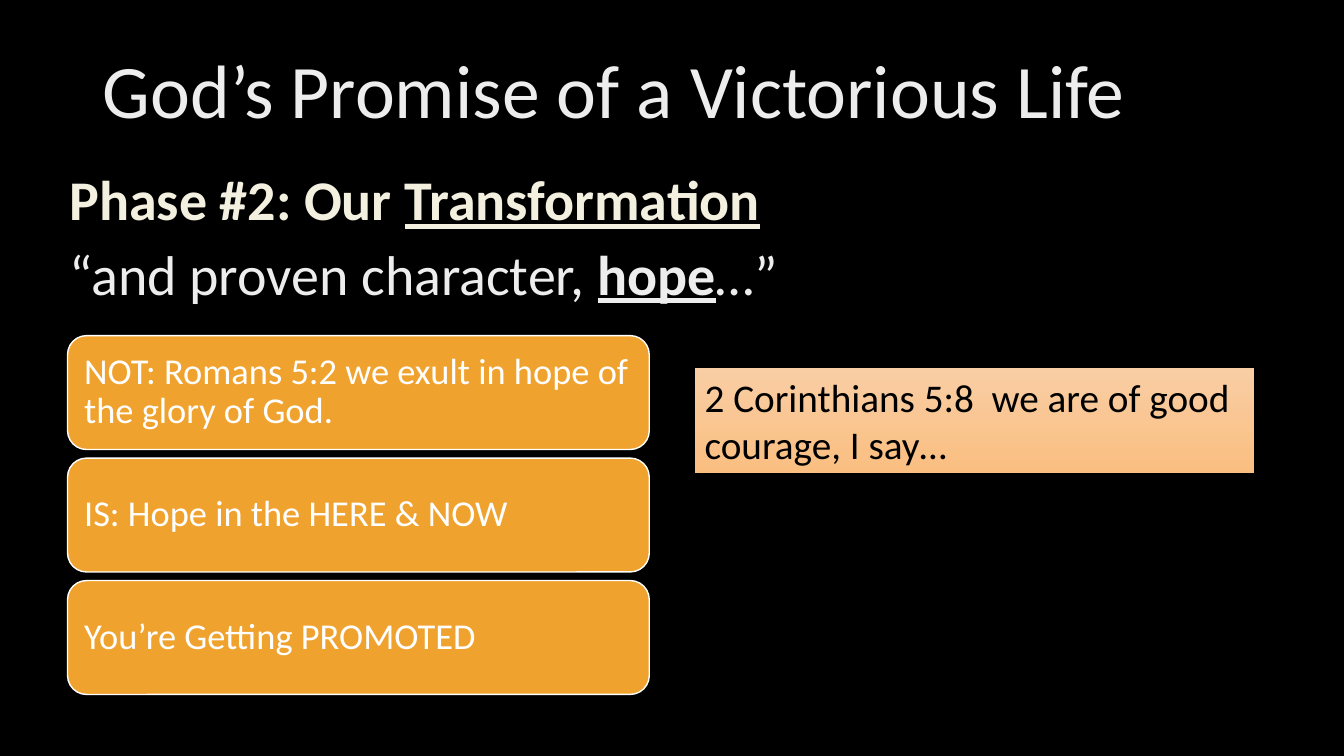
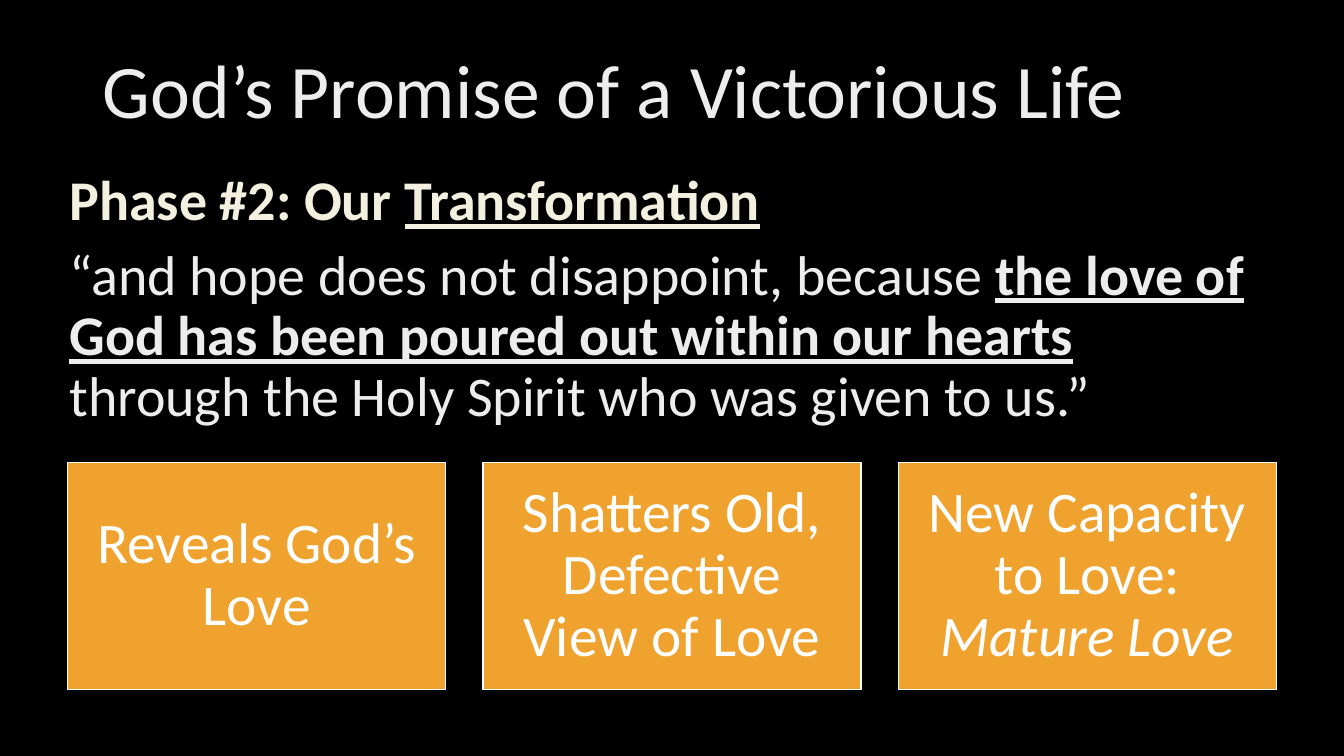
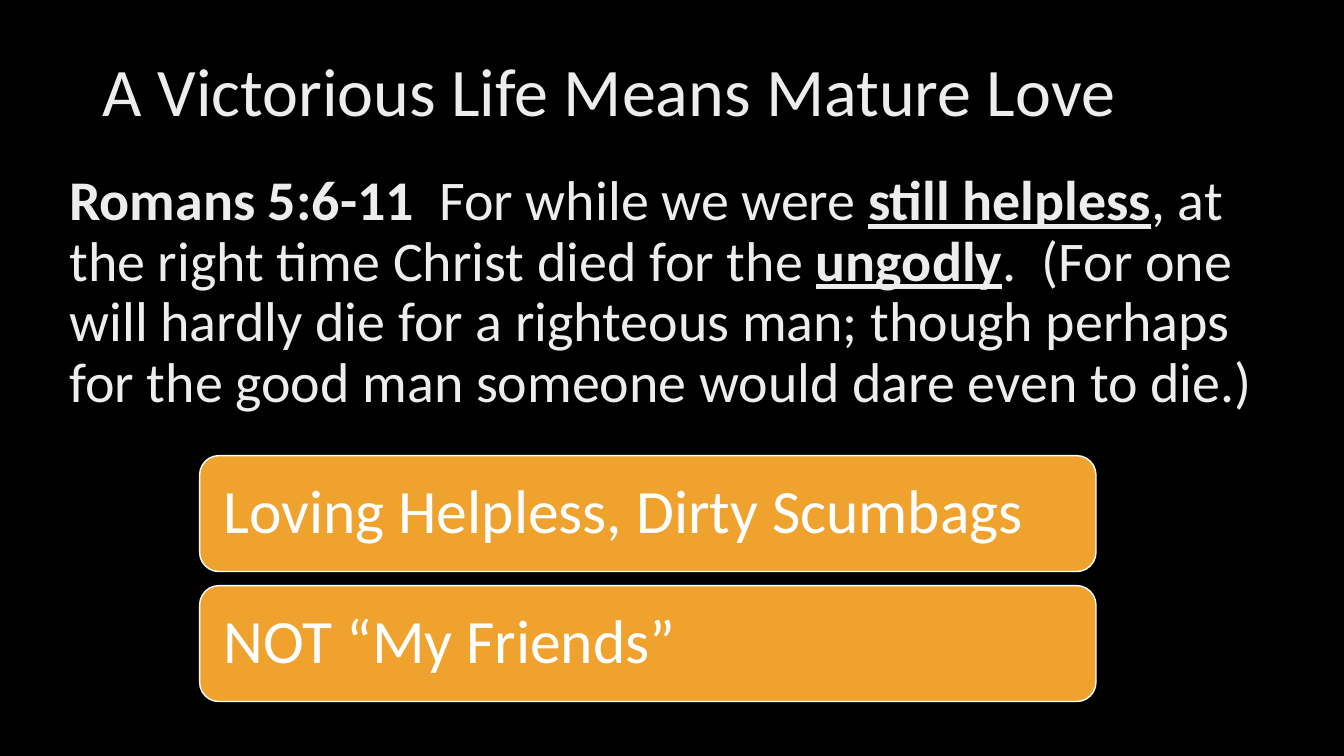
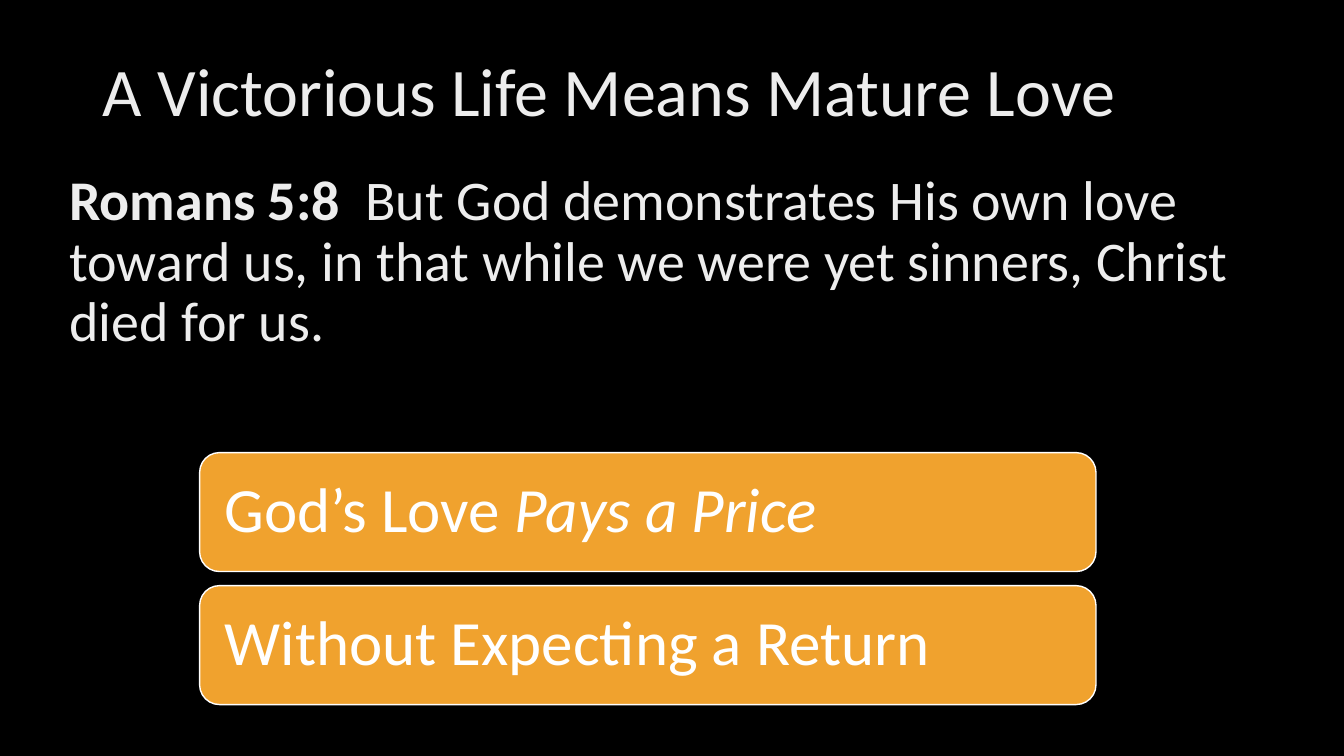
"""Build four slides on the victorious life: verses above rows of orange boxes."""
from collections import namedtuple

from pptx import Presentation
from pptx.dml.color import RGBColor
from pptx.enum import shapes, text
from pptx.util import Inches, Pt

BLACK = RGBColor(0x00, 0x00, 0x00)
WHITE = RGBColor(0xFF, 0xFF, 0xFF)
SILVER = RGBColor(0xED, 0xED, 0xED)
CREAM = RGBColor(0xF4, 0xF0, 0xE0)
ORANGE = RGBColor(0xF0, 0xA2, 0x2E)
PEACH_TOP = RGBColor(0xF9, 0xCE, 0xA4)
PEACH_BOTTOM = RGBColor(0xFA, 0xBE, 0x81)
FONT = "Calibri"

ROUNDED = shapes.MSO_SHAPE.ROUNDED_RECTANGLE
RECTANGLE = shapes.MSO_SHAPE.RECTANGLE
LEFT = text.PP_ALIGN.LEFT
CENTER = text.PP_ALIGN.CENTER

Boxes = namedtuple("Boxes", "kind first last width height inset size align labels")

PROMISE = ("God’s Promise of a Victorious Life", 54)
MATURE_LOVE = ("A Victorious Life Means Mature Love", 48.6)
PHASE = (CREAM, [("Phase #2: Our ", "b"), ("Transformation", "bu")])

SLIDES = [
    (PROMISE,
     [PHASE,
      (SILVER, [("“and proven character, ", ""), ("hope", "bu"), ("…”", "")])],
     Boxes(ROUNDED, (0.67, 3.33), (0.67, 5.76), 5.77, 1.13, 0.11, 26, LEFT, [
         [("NOT: Romans 5:2 we exult in hope of the glory of God.", "")],
         [("IS: Hope in the HERE & NOW", "")],
         [("You’re Getting PROMOTED", "")]])),
    (PROMISE,
     [PHASE,
      (SILVER, [("“and hope does not disappoint, because ", ""),
                ("the love of God has been poured out within our hearts ", "bu"),
                ("through the Holy Spirit who was given to us.”", "")])],
     Boxes(RECTANGLE, (0.67, 4.59), (8.91, 4.59), 3.75, 2.25, 0.17, 41, CENTER, [
         [("Reveals God’s Love", "")],
         [("Shatters Old, Defective View of Love", "")],
         [("New Capacity to Love: ", ""), ("Mature Love", "i")]])),
    (MATURE_LOVE,
     [(SILVER, [("Romans 5:6-11 ", "b"), (" For while we were ", ""),
                ("still helpless", "bu"),
                (", at the right time Christ died for the ", ""),
                ("ungodly", "bu"),
                (".  (For one will hardly die for a righteous man; though perhaps "
                 "for the good man someone would dare even to die.)", "")])],
     Boxes(ROUNDED, (1.98, 4.52), (1.98, 5.81), 8.89, 1.15, 0.18, 44, LEFT, [
         [("Loving Helpless, Dirty Scumbags", "")],
         [("NOT “My Friends”", "")]])),
    (MATURE_LOVE,
     [(SILVER, [("Romans 5:8 ", "b"),
                (" But God demonstrates His own love toward us, in that while we "
                 "were yet sinners, Christ died for us.", "")])],
     Boxes(ROUNDED, (1.98, 4.49), (1.98, 5.81), 8.89, 1.18, 0.19, 45, LEFT, [
         [("God’s Love ", ""), ("Pays a Price", "i")],
         [("Without Expecting a Return", "")]])),
]


def write_runs(paragraph, runs, size, color, align=LEFT, line_spacing=0.9):
    """Fill a paragraph with runs styled by the letters b, i and u."""
    paragraph.alignment = align
    paragraph.line_spacing = line_spacing
    for words, style in runs:
        run = paragraph.add_run()
        run.text = words
        run.font.name = FONT
        run.font.size = Pt(size)
        run.font.color.rgb = color
        run.font.bold = "b" in style
        run.font.italic = "i" in style
        run.font.underline = "u" in style


def add_box(slide, kind, left, top, width, height):
    """Add a shape without shadow whose text wraps in the middle."""
    shape = slide.shapes.add_shape(
        kind, Inches(left), Inches(top), Inches(width), Inches(height))
    shape.shadow.inherit = False
    shape.text_frame.word_wrap = True
    shape.text_frame.vertical_anchor = text.MSO_ANCHOR.MIDDLE
    return shape


presentation = Presentation()
presentation.slide_width = Inches(13.33)
presentation.slide_height = Inches(7.5)
background = presentation.slide_master.background.fill
background.solid()
background.fore_color.rgb = BLACK
title_only = presentation.slide_layouts[5]

for (heading, heading_size), verses, boxes in SLIDES:
    slide = presentation.slides.add_slide(title_only)

    title = slide.shapes.title
    title.left, title.top = Inches(0.92), Inches(0.21)
    title.width, title.height = Inches(11.5), Inches(1.45)
    title.text_frame.auto_size = text.MSO_AUTO_SIZE.NONE
    title.text_frame.vertical_anchor = text.MSO_ANCHOR.MIDDLE
    write_runs(title.text_frame.paragraphs[0], [(heading, "")], heading_size, SILVER)

    body = slide.shapes.add_textbox(
        Inches(0.59), Inches(1.66), Inches(12.07), Inches(5.64)).text_frame
    body.word_wrap = True
    for index, (color, runs) in enumerate(verses):
        paragraph = body.add_paragraph() if index else body.paragraphs[0]
        paragraph.space_before = Pt(10)
        write_runs(paragraph, runs, 40, color)

    steps = len(boxes.labels) - 1
    for index, runs in enumerate(boxes.labels):
        left, top = (start + (end - start) * index / steps
                     for start, end in zip(boxes.first, boxes.last))
        box = add_box(slide, boxes.kind, left, top, boxes.width, boxes.height)
        box.fill.solid()
        box.fill.fore_color.rgb = ORANGE
        box.line.color.rgb = WHITE
        box.line.width = Pt(1)
        frame = box.text_frame
        frame.margin_left = frame.margin_right = Inches(boxes.inset)
        frame.margin_top = frame.margin_bottom = Inches(boxes.inset)
        write_runs(frame.paragraphs[0], runs, boxes.size, WHITE, boxes.align)

courage = add_box(presentation.slides[0], RECTANGLE, 6.89, 3.65, 5.55, 1.04)
courage.line.fill.background()
courage.fill.gradient()
courage.fill.gradient_angle = 270
for stop, color in zip(courage.fill.gradient_stops, (PEACH_TOP, PEACH_BOTTOM)):
    stop.color.rgb = color
write_runs(courage.text_frame.paragraphs[0],
           [("2 Corinthians 5:8  we are of good courage, I say…", "")],
           28, BLACK, line_spacing=1.0)

presentation.save("out.pptx")
